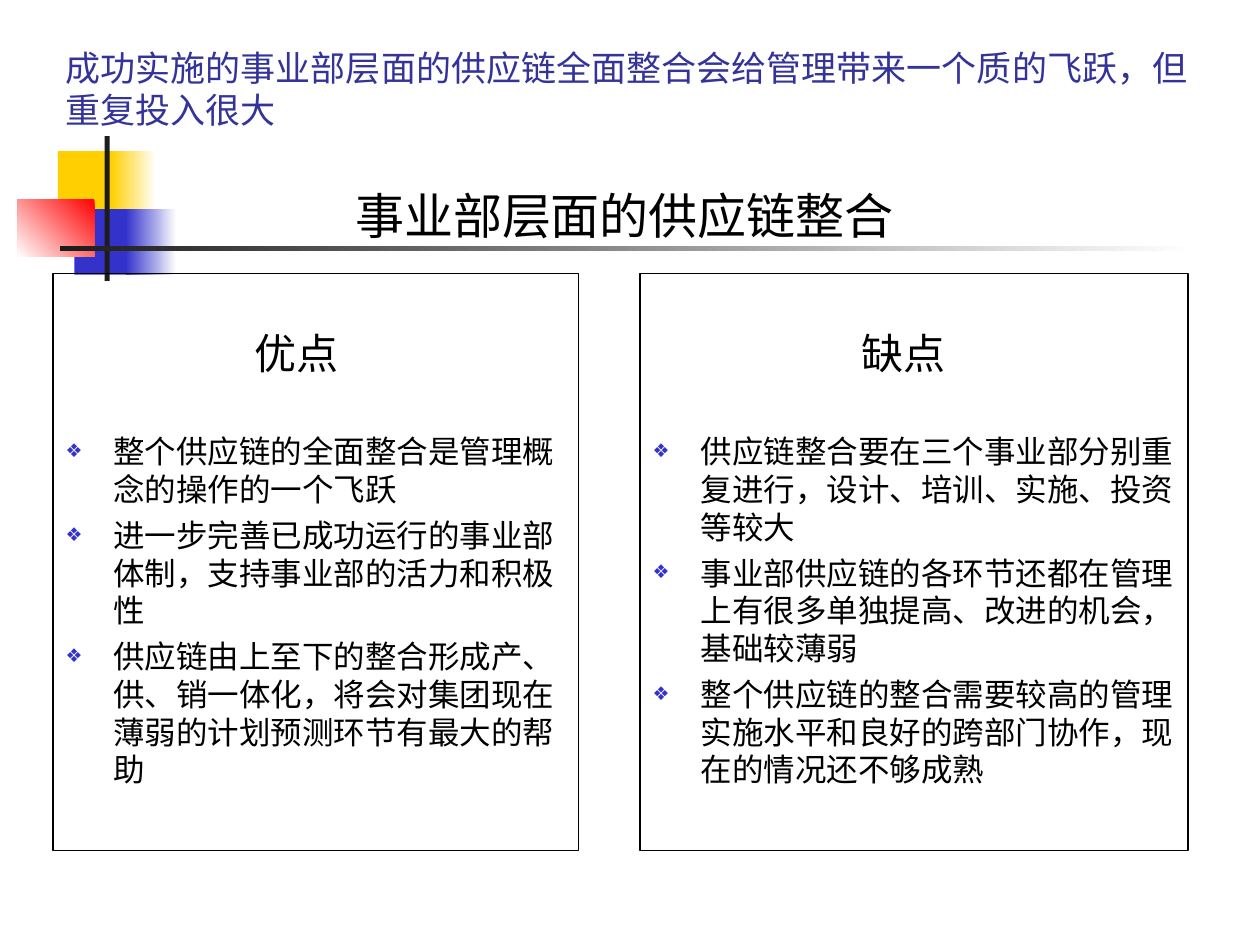
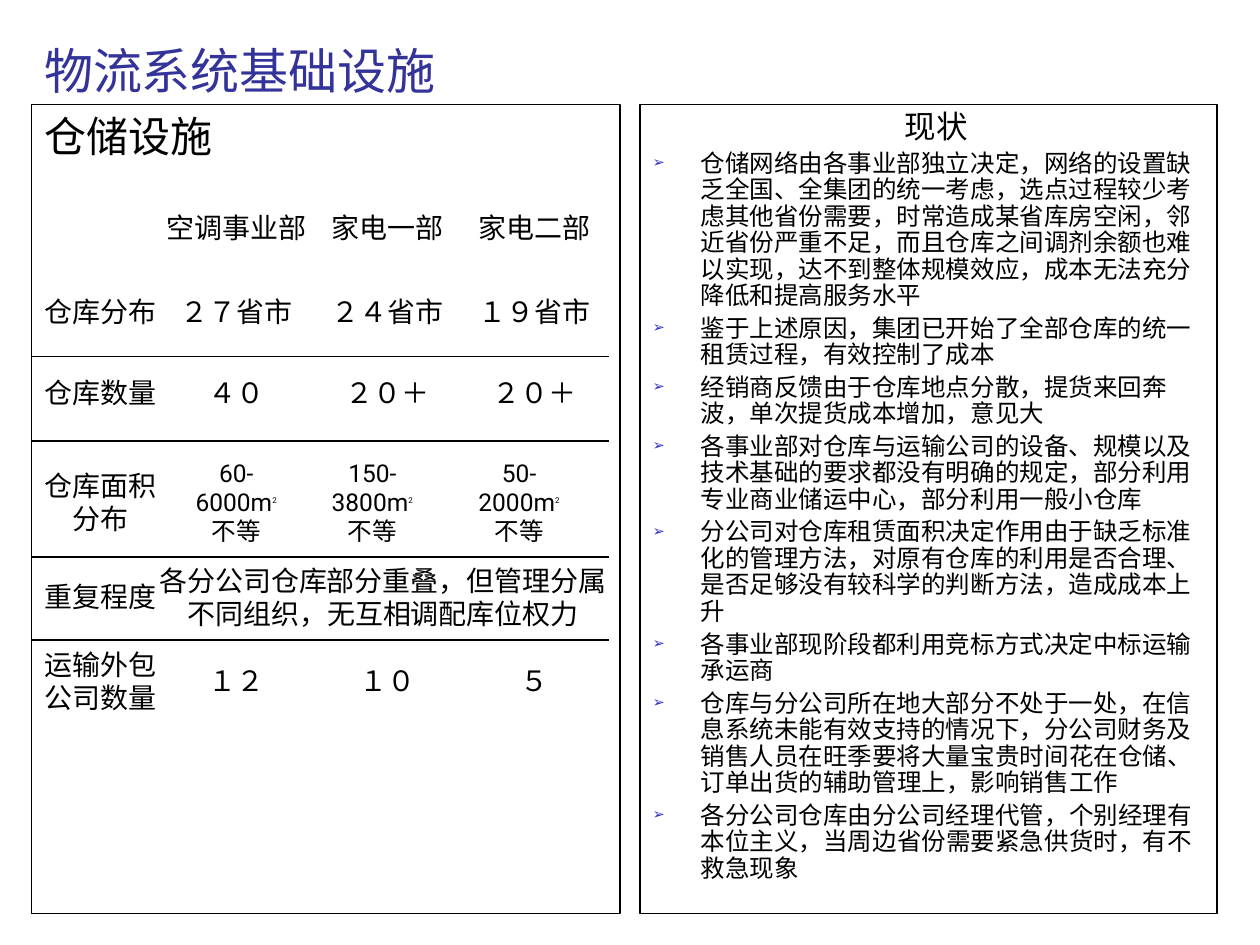
import pptx
import pptx.util
import pptx.dml.color
import pptx.enum.shapes
import pptx.enum.text
import pptx.oxml
import pptx.oxml.ns

Inches = pptx.util.Inches
Pt = pptx.util.Pt
Align = pptx.enum.text.PP_ALIGN
Anchor = pptx.enum.text.MSO_ANCHOR
qn = pptx.oxml.ns.qn

FONT = "Roboto"
COLORS = {
    "title": "333399", "text": "000000", "line": "000000", "bullet": "3333CC",
    "white": "FFFFFF", "gold": "FFCF01", "blue": "3333CC", "red": "FF0000",
    "dark": "1C1C1C",
}
PLAIN_GRID = "{2D5ABB26-0587-4C30-8999-92F81FD0307C}"

PROS = [
    "整个供应链的全面整合是管理概念的操作的一个飞跃",
    "进一步完善已成功运行的事业部体制，支持事业部的活力和积极性",
    "供应链由上至下的整合形成产、供、销一体化，将会对集团现在薄弱的计划预测环节有最大的帮助",
]
CONS = [
    "供应链整合要在三个事业部分别重复进行，设计、培训、实施、投资等较大",
    "事业部供应链的各环节还都在管理上有很多单独提高、改进的机会，基础较薄弱",
    "整个供应链的整合需要较高的管理实施水平和良好的跨部门协作，现在的情况还不够成熟",
]
STATUS = [
    "仓储网络由各事业部独立决定，网络的设置缺乏全国、全集团的统一考虑，选点过程较少考虑其他省份需要，"
    "时常造成某省库房空闲，邻近省份严重不足，而且仓库之间调剂余额也难以实现，达不到整体规模效应，"
    "成本无法充分降低和提高服务水平",
    "鉴于上述原因，集团已开始了全部仓库的统一租赁过程，有效控制了成本",
    "经销商反馈由于仓库地点分散，提货来回奔波，单次提货成本增加，意见大",
    "各事业部对仓库与运输公司的设备、规模以及技术基础的要求都没有明确的规定，"
    "部分利用专业商业储运中心，部分利用一般小仓库",
    "分公司对仓库租赁面积决定作用由于缺乏标准化的管理方法，对原有仓库的利用是否合理、"
    "是否足够没有较科学的判断方法，造成成本上升",
    "各事业部现阶段都利用竞标方式决定中标运输承运商",
    "仓库与分公司所在地大部分不处于一处，在信息系统未能有效支持的情况下，分公司财务及销售人员"
    "在旺季要将大量宝贵时间花在仓储、订单出货的辅助管理上，影响销售工作",
    "各分公司仓库由分公司经理代管，个别经理有本位主义，当周边省份需要紧急供货时，有不救急现象",
]
DEPOTS = [
    ["", "空调事业部", "家电一部", "家电二部"],
    ["仓库分布", "２７省市", "２４省市", "１９省市"],
    ["仓库数量", "４０", "２０＋", "２０＋"],
    ["仓库面积分布", "60-6000m", "150-3800m", "50-2000m"],
    ["重复程度", "各分公司仓库部分重叠，但管理分属不同组织，无互相调配库位权力", "", ""],
    ["运输外包公司数量", "１２", "１０", "５"],
]
COUNT_ROW, AREA_ROW, SHARED_ROW = 2, 3, 4


def rgb(name):
    return pptx.dml.color.RGBColor.from_string(COLORS[name])


def add_xml(parent, tag, **attrs):
    child = parent.makeelement(qn(tag), attrs)
    parent.append(child)
    return child


def put(para, text, size=18, color="text", align=Align.LEFT, before=0,
        spacing=None, raised=0):
    """Add a run to the paragraph and format both."""
    para.alignment = align
    para.space_before = Pt(before)
    if spacing:
        para.line_spacing = spacing
    run = para.add_run()
    run.text = text
    run.font.size = Pt(size)
    run.font.name = FONT
    run.font.color.rgb = rgb(color)
    props = run.font._element
    props.set("lang", "zh-CN")
    add_xml(props, "a:ea", typeface=FONT)
    if raised:
        props.set("baseline", str(raised * 1000))


def indent(para, left, first=0, mark=None):
    """Set the indents and either a coloured bullet or none."""
    props = para._p.get_or_add_pPr()
    props.set("marL", str(Inches(left)))
    props.set("indent", str(Inches(first)))
    props.set("hangingPunct", "0")
    if mark:
        add_xml(add_xml(props, "a:buClr"), "a:srgbClr", val=COLORS["bullet"])
        add_xml(props, "a:buSzPct", val="60000")
        add_xml(props, "a:buChar", char=mark)
    else:
        add_xml(props, "a:buNone")


def place(shape, left, top, width, height):
    shape.left, shape.top = Inches(left), Inches(top)
    shape.width, shape.height = Inches(width), Inches(height)


def set_line(shape):
    shape.line.color.rgb = rgb("line")
    shape.line.width = Pt(0.75)


def set_frame(shape, anchor, top=0.05):
    frame = shape.text_frame
    frame.word_wrap = True
    frame.auto_size = pptx.enum.text.MSO_AUTO_SIZE.NONE
    frame.vertical_anchor = anchor
    frame.margin_left = frame.margin_right = Inches(0.1)
    frame.margin_top, frame.margin_bottom = Inches(top), Inches(0.05)
    return frame


def add_title(slide, text, box, size):
    place(slide.shapes.title, *box)
    frame = set_frame(slide.shapes.title, Anchor.BOTTOM)
    put(frame.paragraphs[0], text, size=size, color="title")


def add_panel(slide, index, box, head, items=(), mark=None, lead=0, top=0.05,
              head_size=24, size=18, gap=4.5, first_gap=4.5, spacing=None):
    """Fill a body placeholder with a framed heading and bullet list."""
    panel = slide.placeholders[index]
    place(panel, *box)
    set_line(panel)
    slide.shapes.element.append(panel.element)
    frame = set_frame(panel, Anchor.TOP, top)
    indent(frame.paragraphs[0], lead)
    put(frame.paragraphs[0], head, size=head_size, spacing=spacing)
    for pos, item in enumerate(items):
        para = frame.add_paragraph()
        indent(para, 0.38, -0.38, mark)
        put(para, item, size=size, spacing=spacing,
            before=gap if pos else first_gap)


def add_block(slide, box, color, angle=None):
    """Draw a borderless block, fading to or from white if angled."""
    block = slide.shapes.add_shape(
        pptx.enum.shapes.MSO_SHAPE.RECTANGLE, *map(Inches, box))
    block.shadow.inherit = False
    block.line.fill.background()
    if angle is None:
        block.fill.solid()
        block.fill.fore_color.rgb = rgb(color)
        return
    block.fill.gradient()
    block.fill.gradient_angle = angle
    ends = ("white", color) if angle == 180 else (color, "white")
    for stop, name in zip(block.fill.gradient_stops, ends):
        stop.color.rgb = rgb(name)


def add_emblem(slide):
    add_block(slide, (0.46, 1.2, 0.48, 0.52), "gold")
    add_block(slide, (0.88, 1.2, 0.36, 0.52), "gold", 180)
    add_block(slide, (0.59, 1.66, 0.46, 0.52), "blue")
    add_block(slide, (1, 1.66, 0.4, 0.52), "blue", 180)
    add_block(slide, (0.14, 1.58, 0.61, 0.46), "red", 225)
    add_block(slide, (0.83, 1.08, 0.04, 1.15), "dark")
    add_block(slide, (0.48, 1.95, 9, 0.04), "dark", 180)


def add_label(slide, text, box, size):
    label = slide.shapes.add_textbox(*map(Inches, box))
    frame = set_frame(label, Anchor.TOP)
    put(frame.paragraphs[0], text, size=size, align=Align.CENTER)


def add_rule(slide, left, right, level):
    rule = slide.shapes.add_connector(
        pptx.enum.shapes.MSO_CONNECTOR.STRAIGHT,
        *map(Inches, (left, level, right, level)))
    set_line(rule)
    add_xml(rule.element.spPr, "a:effectLst")


def fill_cell(cell, text, row, col):
    cell.fill.background()
    cell.vertical_anchor = Anchor.MIDDLE
    area = row == AREA_ROW and col > 0
    left, right = (0.22, 0.22) if area else (0, 0)
    if area and col > 1:
        left, right = 0.1, 0.34
    cell.margin_left = Inches(left if col else 0.1)
    cell.margin_right = Inches(right)
    cell.margin_top = Inches(0.07 if row == AREA_ROW else 0)
    cell.margin_bottom = Inches(0.08 if row == COUNT_ROW else 0)
    para = cell.text_frame.paragraphs[0]
    if area:
        put(para, text, size=14, align=Align.CENTER)
        put(para, "2", size=8, align=Align.CENTER, raised=60)
        put(para, "不等", size=14, align=Align.CENTER)
    elif text:
        put(para, text, size=16, align=Align.CENTER)


def add_depots(slide):
    left, top = 0.25, 1.5
    widths = [1, 1.25, 1.15, 1.18]
    heights = [0.63, 0.7, 0.67, 0.92, 0.66, 0.67]
    table = slide.shapes.add_table(
        len(heights), len(widths), Inches(left), Inches(top),
        Inches(sum(widths)), Inches(sum(heights))).table
    table.first_row = table.horz_banding = False
    table._tbl.tblPr.find(qn("a:tableStyleId")).text = PLAIN_GRID
    for column, width in zip(table.columns, widths):
        column.width = Inches(width)
    for line, height in zip(table.rows, heights):
        line.height = Inches(height)
    table.cell(SHARED_ROW, 1).merge(table.cell(SHARED_ROW, 3))
    for row, texts in enumerate(DEPOTS):
        for col, text in enumerate(texts):
            fill_cell(table.cell(row, col), text, row, col)
    for count in range(2, len(heights)):
        add_rule(slide, left, left + sum(widths), top + sum(heights[:count]))


def main():
    deck = pptx.Presentation()
    deck.slide_width, deck.slide_height = Inches(10), Inches(7.5)
    layout = deck.slide_layouts.get_by_name("Two Content")

    slide = deck.slides.add_slide(layout)
    add_title(slide, "成功实施的事业部层面的供应链全面整合会给管理带来一个质的飞跃，但重复投入很大",
              (0.42, 0.33, 9.33, 0.76), 20)
    add_emblem(slide)
    add_label(slide, "事业部层面的供应链整合", (2.08, 1.42, 5.75, 0.57), 28)
    style = dict(mark="❖", top=0.43, first_gap=31)
    add_panel(slide, 1, (0.42, 2.17, 4.17, 4.58), "优点", PROS, lead=1.5, **style)
    add_panel(slide, 2, (5.08, 2.17, 4.35, 4.58), "缺点", CONS, lead=1.66, **style)

    slide = deck.slides.add_slide(layout)
    add_title(slide, "物流系统基础设施", (0.25, 0.25, 3.33, 0.59), 28)
    add_panel(slide, 1, (0.25, 0.83, 4.67, 6.42), "仓储设施")
    add_panel(slide, 2, (5.08, 0.83, 4.58, 6.42), "现状", STATUS, mark="➢", lead=2,
              head_size=18, size=14, gap=3.5, first_gap=3.5, spacing=0.9)
    add_depots(slide)

    deck.save("out.pptx")


if __name__ == "__main__":
    main()
